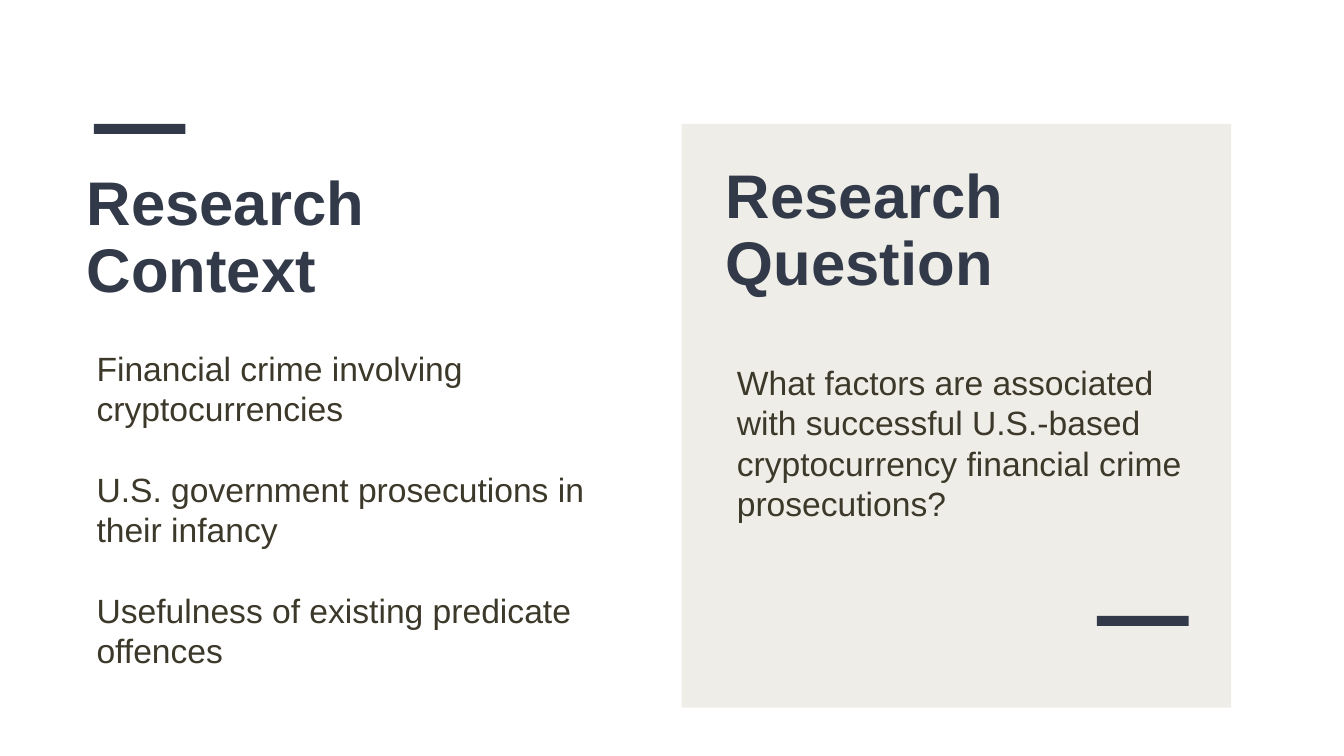
from pptx import Presentation
from pptx.dml.color import RGBColor
from pptx.enum.shapes import MSO_SHAPE
from pptx.util import Inches, Pt

COLORS = {"navy": "323A49", "body": "3C382A", "panel": "EFEDE7"}
FONT = "Arial"


def add_rectangle(slide, left, top, width, height, color):
    shape = slide.shapes.add_shape(
        MSO_SHAPE.RECTANGLE, Inches(left), Inches(top), Inches(width), Inches(height))
    shape.shadow.inherit = False
    shape.fill.solid()
    shape.fill.fore_color.rgb = RGBColor.from_string(COLORS[color])
    shape.line.fill.background()


def add_accent_bar(slide, left, top):
    add_rectangle(slide, left, top, 0.91, 0.1, "navy")


def add_text(slide, box, lines, size, color, bold=False, line_spacing=1.0, gap=0):
    """Add a text box with one paragraph per line, gap points apart."""
    left, top, width, height = box
    text_box = slide.shapes.add_textbox(
        Inches(left), Inches(top), Inches(width), Inches(height))
    frame = text_box.text_frame
    frame.word_wrap = True
    for index, line in enumerate(lines):
        paragraph = frame.add_paragraph() if index else frame.paragraphs[0]
        paragraph.line_spacing = line_spacing
        paragraph.space_before = Pt(gap if index else 0)
        run = paragraph.add_run()
        run.text = line
        run.font.name = FONT
        run.font.size = Pt(size)
        run.font.bold = bold
        run.font.color.rgb = RGBColor.from_string(COLORS[color])
    return frame


def add_heading(slide, left, top, lines):
    frame = add_text(slide, (left, top, 5.71, 1.5), lines, 44, "navy",
                     bold=True, line_spacing=0.9)
    frame.margin_left = frame.margin_right = 0
    frame.margin_top = frame.margin_bottom = 0


def add_context(slide, left, top):
    add_accent_bar(slide, left + 0.07, top)
    add_heading(slide, left, top + 0.48, ["Research", "Context"])
    add_text(slide, (left, top + 2.17, 5.4, 3.33), [
        "Financial crime involving cryptocurrencies",
        "U.S. government prosecutions in their infancy",
        "Usefulness of existing predicate offences",
    ], 24, "body", gap=28.8)


def add_question(slide, left, top, width, height):
    add_rectangle(slide, left, top, width, height, "panel")
    add_heading(slide, left + 0.44, top + 0.41, ["Research", "Question"])
    add_text(slide, (left + 0.45, top + 2.31, 4.71, 1.72), [
        "What factors are associated",
        "with successful U.S.-based cryptocurrency financial crime prosecutions?",
    ], 24, "body")
    add_accent_bar(slide, left + width - 1.33, top + height - 0.91)


def main():
    presentation = Presentation()
    presentation.slide_width = Inches(13.33)
    presentation.slide_height = Inches(7.5)
    slide = presentation.slides.add_slide(presentation.slide_layouts[6])
    add_context(slide, 0.86, 1.23)
    add_question(slide, 6.76, 1.23, 5.45, 5.79)
    presentation.save("out.pptx")


if __name__ == "__main__":
    main()
